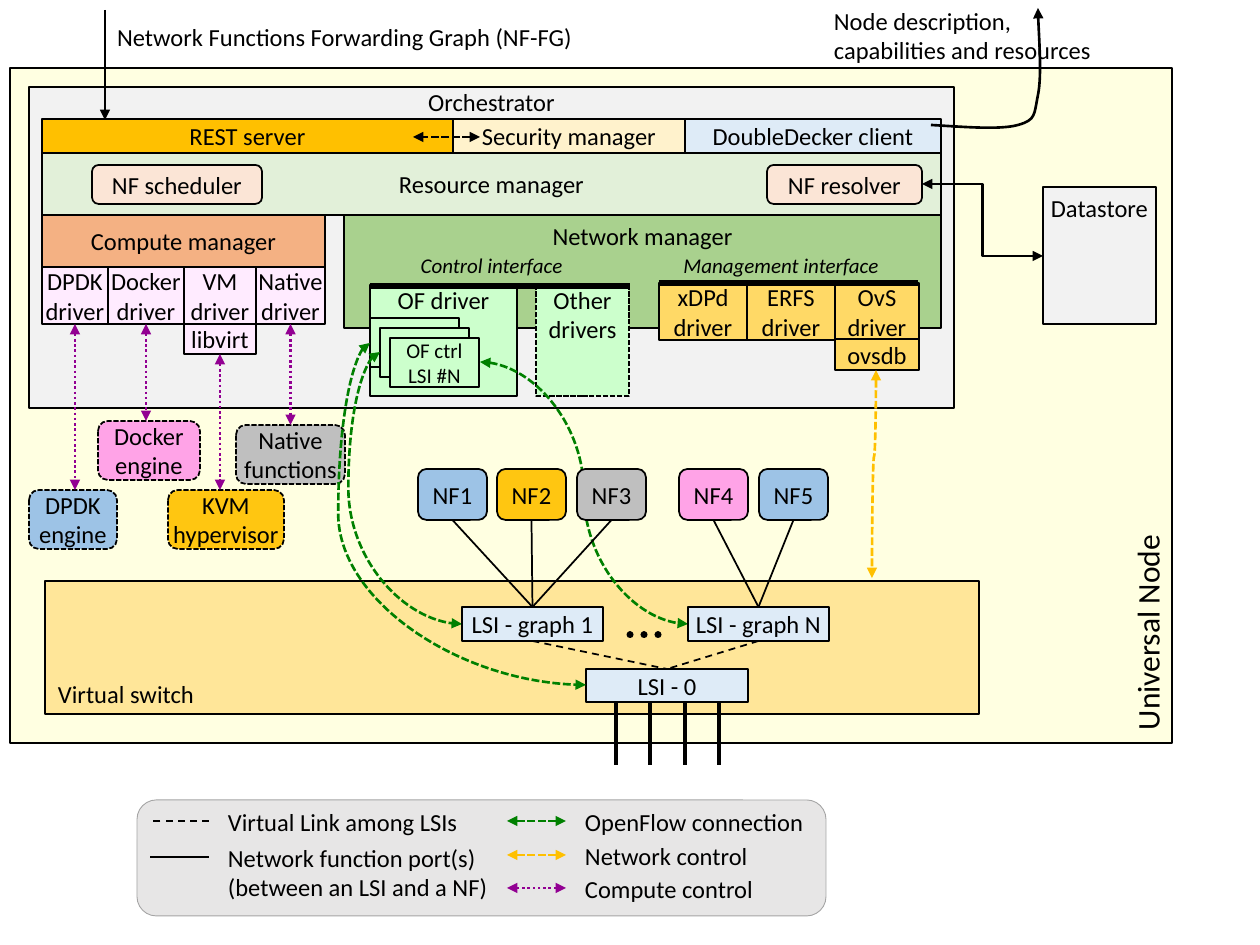
from dataclasses import dataclass
from itertools import accumulate

from lxml import etree
from pptx import Presentation
from pptx.dml.color import RGBColor
from pptx.enum.dml import MSO_LINE
from pptx.enum.shapes import MSO_CONNECTOR, MSO_SHAPE
from pptx.enum.text import MSO_ANCHOR, MSO_AUTO_SIZE, PP_ALIGN
from pptx.oxml.ns import qn
from pptx.util import Pt

RECTANGLE, ROUNDED = MSO_SHAPE.RECTANGLE, MSO_SHAPE.ROUNDED_RECTANGLE
STRAIGHT, ELBOW, CURVE = MSO_CONNECTOR.STRAIGHT, MSO_CONNECTOR.ELBOW, MSO_CONNECTOR.CURVE
DASH, SHORT_DASH, DOT = MSO_LINE.DASH, MSO_LINE.SQUARE_DOT, MSO_LINE.ROUND_DOT
TOP, MIDDLE, BOTTOM = MSO_ANCHOR.TOP, MSO_ANCHOR.MIDDLE, MSO_ANCHOR.BOTTOM
LEFT, CENTER = PP_ALIGN.LEFT, PP_ALIGN.CENTER
FIT_SHAPE = MSO_AUTO_SIZE.SHAPE_TO_FIT_TEXT
TOP_SIDE, BOTTOM_SIDE = 0, 2
EMU_PER_PX = 914400 / 126


@dataclass(frozen=True)
class Theme:
    font: str = "Calibri"
    title: int = 18
    body: int = 14
    small: int = 12
    ink: str = "000000"
    node: str = "FFFFE1"
    panel: str = "F2F2F2"
    switch: str = "FFE699"
    pale_blue: str = "DEEBF7"
    blue: str = "9DC3E6"
    gold: str = "FFC611"
    amber: str = "FFC000"
    cream: str = "FFF2CC"
    gray: str = "BFBFBF"
    pink: str = "FFA3E7"
    lilac: str = "FFEBFF"
    purple: str = "920092"
    orange: str = "F4B183"
    peach: str = "FBE5D6"
    mint: str = "E2F0D9"
    leaf: str = "A9D18E"
    light_green: str = "CCFFCC"
    green: str = "008000"
    yellow: str = "FFD966"
    legend: str = "E7E6E6"
    legend_line: str = "A5A5A5"


THEME = Theme()
OPENFLOW = {"color": THEME.green, "width": 1.5, "dash": SHORT_DASH, "ends": "both"}
NETWORK = {**OPENFLOW, "color": THEME.amber}
COMPUTE = {**OPENFLOW, "color": THEME.purple, "dash": DOT}
VIRTUAL_LINK = {"dash": DASH}


def px(*values):
    return [round(value * EMU_PER_PX) for value in values]


def set_format(target, values):
    for name, value in values.items():
        setattr(target, name, value)


def write_text(shape, text, size=THEME.body, align=CENTER, anchor=MIDDLE, inset=(13, 6), wrap=False, italic=False):
    frame = shape.text_frame
    side, edge = px(*inset)
    set_format(frame, {"text": text, "word_wrap": wrap, "vertical_anchor": anchor, "margin_left": side,
                       "margin_right": side, "margin_top": edge, "margin_bottom": edge})
    for paragraph in frame.paragraphs:
        paragraph.alignment = align
        set_format(paragraph.font, {"name": THEME.font, "size": Pt(size), "italic": italic})
        paragraph.font.color.rgb = RGBColor.from_string(THEME.ink)


def set_line(shape, color=THEME.ink, width=1, dash=None, ends=""):
    shape.line.color.rgb = RGBColor.from_string(color)
    set_format(shape.line, {"width": Pt(width), "dash_style": dash})
    outline = shape._element.spPr.find(qn("a:ln"))
    for tag, kinds in (("a:headEnd", ("both",)), ("a:tailEnd", ("both", "end"))):
        if ends in kinds:
            etree.SubElement(outline, qn(tag), type="triangle")
    return outline


def add_box(slide, box, fill, text="", kind=RECTANGLE, line=None, **text_format):
    shape = slide.shapes.add_shape(kind, *px(*box))
    shape.shadow.inherit = False
    shape.fill.solid()
    shape.fill.fore_color.rgb = RGBColor.from_string(fill)
    set_line(shape, **(line or {}))
    if text:
        write_text(shape, text, **text_format)
    return shape


def add_row(slide, left, top, height, cells, **options):
    widths = [width for width, fill, text in cells]
    lefts = accumulate(widths, initial=left)
    return [add_box(slide, (x, top, width, height), fill, text, **options)
            for x, (width, fill, text) in zip(lefts, cells)]


def add_label(slide, box, text, **text_format):
    label = slide.shapes.add_textbox(*px(*box))
    write_text(label, text, **{"align": LEFT, "anchor": TOP, **text_format})
    return label


def add_link(slide, points, kind=STRAIGHT, bend=None, turn=0, cap=None, start=None, finish=None, **line):
    connector = slide.shapes.add_connector(kind, *px(*points))
    properties = connector._element.spPr
    outline = set_line(connector, **line)
    if cap:
        outline.set("cap", cap)
    etree.SubElement(properties, qn("a:effectLst"))
    if bend is not None:
        guides = properties.find(qn("a:prstGeom")).find(qn("a:avLst"))
        etree.SubElement(guides, qn("a:gd"), name="adj1", fmla=f"val {bend}")
    if turn:
        properties.find(qn("a:xfrm")).set("rot", str(turn * 60000))
    if start:
        connector.begin_connect(start, BOTTOM_SIDE)
    if finish:
        connector.end_connect(finish, TOP_SIDE)


def join(slide, upper, lower, **line):
    add_link(slide, (0, 0, 1, 1), start=upper, finish=lower, **line)


def add_curve(slide, points, **line):
    builder = slide.shapes.build_freeform(*points[0], scale=EMU_PER_PX)
    builder.add_line_segments(points[1:], close=False)
    shape = builder.convert_to_shape()
    shape.shadow.inherit = False
    shape.fill.background()
    set_line(shape, **line)
    segments = list(shape._element.iter(qn("a:lnTo")))
    outline = segments[0].getparent()
    for index in range(0, len(segments), 3):
        cubic = etree.SubElement(outline, qn("a:cubicBezTo"))
        for segment in segments[index:index + 3]:
            cubic.append(segment[0])
            outline.remove(segment)


def draw_frames(slide):
    thick = {"width": 1.5}
    node = add_box(slide, (10, 68, 1162, 675), THEME.node, "Universal Node", line=thick,
                   size=THEME.title, align=LEFT, anchor=BOTTOM, inset=(6, 13), wrap=True)
    node.text_frame._txBody.bodyPr.set("vert", "vert270")
    add_box(slide, (29, 87, 925, 321), THEME.panel, "Orchestrator", line=thick, anchor=TOP, inset=(0, 0), wrap=True)
    switch = add_box(slide, (45, 581, 934, 133), THEME.switch, "Virtual switch", ROUNDED,
                     align=LEFT, anchor=BOTTOM, wrap=True)
    switch.adjustments[0] = 0
    add_box(slide, (1043, 187, 113, 137), THEME.panel, "Datastore", anchor=TOP)


def draw_managers(slide):
    add_box(slide, (42, 152, 899, 63), THEME.mint, "Resource manager", inset=(5, 5), wrap=True)
    add_row(slide, 42, 119, 34, [(411, THEME.amber, "REST server"), (232, THEME.cream, "Security manager"),
                                 (256, THEME.pale_blue, "DoubleDecker client")], inset=(5, 5), wrap=True)
    add_link(slide, (480, 137, 413, 137), width=1.5, dash=SHORT_DASH, ends="both")
    for left, width, text in ((92, 170, "NF scheduler"), (767, 155, "NF resolver")):
        add_box(slide, (left, 165, width, 39), THEME.peach, text, ROUNDED)
    add_box(slide, (42, 215, 283, 52), THEME.orange, "Compute manager")
    add_box(slide, (344, 215, 597, 113), THEME.leaf, "Network manager", anchor=TOP)


def draw_compute(slide):
    names = ((66, "DPDK"), (76, "Docker"), (72, "VM"), (69, "Native"))
    dpdk, docker, _, native = add_row(
        slide, 42, 267, 57, [(width, THEME.lilac, f"{name}\ndriver") for width, name in names])
    libvirt = add_box(slide, (184, 324, 72, 30), THEME.lilac, "libvirt")
    engines = ((dpdk, 75, 324, (29, 490, 88, 59), THEME.blue, "DPDK\nengine"),
               (docker, 146, 324, (98, 421, 102, 59), THEME.pink, "Docker\nengine"),
               (libvirt, 220, 354, (168, 490, 116, 59), THEME.gold, "KVM\nhypervisor"),
               (native, 290, 324, (236, 425, 109, 59), THEME.gray, "Native\nfunctions"))
    for driver, x, y, box, fill, text in engines:
        engine = add_box(slide, box, fill, text, ROUNDED, line={"dash": SHORT_DASH})
        add_link(slide, (x, y, x, box[1]), start=driver, finish=engine if driver is native else None, **COMPUTE)


def draw_network(slide):
    add_box(slide, (370, 285, 147, 111), THEME.light_green, "OF driver", anchor=TOP, inset=(0, 0))
    add_box(slide, (536, 285, 93, 111), THEME.light_green, "Other\ndrivers", line={"dash": SHORT_DASH},
            anchor=TOP, inset=(0, 0))
    for left, width, text in ((407, 169, "Control interface"), (670, 222, "Management interface")):
        label = add_label(slide, (left, 247, width, 38), text, size=THEME.small, align=CENTER, italic=True)
        label.text_frame.auto_size = FIT_SHAPE
    names = ((88, "xDPd"), (88, "ERFS"), (84, "OvS"))
    add_row(slide, 659, 283, 57, [(width, THEME.yellow, f"{name}\ndriver") for width, name in names])
    add_box(slide, (835, 339, 84, 31), THEME.yellow, "ovsdb")
    for index, text in enumerate(("", "", "OF ctrl\nLSI #N")):
        add_box(slide, (370 + 10 * index, 318 + 10 * index, 89, 49), THEME.light_green, text, size=THEME.small)
    for left, right, y in ((370, 630, 286), (659, 918, 283)):
        add_link(slide, (left, y, right, y), width=3)


def draw_switch(slide):
    base = add_box(slide, (586, 669, 162, 33), THEME.pale_blue, "LSI - 0")
    for index in range(4):
        x = 616 + round(34.4 * index)
        add_link(slide, (x, 702, x, 765), width=2.25)
    add_link(slide, (630, 635, 660, 635), width=4, dash=DOT, cap="rnd")
    for points, bend in (((370, 343, 586, 685), -14700), ((380, 352, 462, 624), -38600),
                         ((480, 362, 688, 624), 50000)):
        add_link(slide, points, CURVE, bend, **OPENFLOW)
    graphs = ((462, "LSI - graph 1", ((418, "NF1", THEME.blue), (497, "NF2", THEME.gold), (577, "NF3", THEME.gray))),
              (688, "LSI - graph N", ((679, "NF4", THEME.pink), (759, "NF5", THEME.blue))))
    for left, title, functions in graphs:
        graph = add_box(slide, (left, 607, 141, 34), THEME.pale_blue, title)
        join(slide, graph, base, **VIRTUAL_LINK)
        for x, name, fill in functions:
            function = add_box(slide, (x, 469, 69, 51), fill, name, ROUNDED)
            join(slide, function, graph)


def draw_outside(slide):
    add_link(slide, (105, 10, 105, 120), width=1.5, ends="end")
    add_label(slide, (104, 16, 500, 38), "Network Functions Forwarding Graph (NF-FG)")
    add_label(slide, (821, 0, 300, 70), "Node description,\ncapabilities and resources")
    add_link(slide, (770, 472, 978, 476), CURVE, 41700, turn=90, **NETWORK)
    add_link(slide, (922, 184, 1043, 256), ELBOW, width=1.5, ends="both")
    add_curve(slide, [(931, 125), (965, 127), (1000, 130), (1018, 125), (1036, 120), (1034, 115),
                      (1038, 95), (1042, 76), (1038, 23), (1038, 8)], width=1.5, ends="end")


def draw_legend(slide):
    add_box(slide, (137, 800, 689, 116), THEME.legend, kind=ROUNDED, line={"color": THEME.legend_line, "width": 0.5})
    entries = ((150, 821, 40, "Virtual Link among LSIs", VIRTUAL_LINK),
               (150, 857, 70, "Network function port(s)\n(between an LSI and a NF)", {}),
               (507, 821, 40, "OpenFlow connection", OPENFLOW),
               (507, 855, 40, "Network control", NETWORK),
               (507, 888, 40, "Compute control", COMPUTE))
    for left, y, height, text, line in entries:
        add_link(slide, (left + 59, y, left, y), **line)
        add_label(slide, (left + 65, y - 20, 290, height), text)


def main():
    presentation = Presentation()
    presentation.slide_width, presentation.slide_height = px(1260, 945)
    slide = presentation.slides.add_slide(presentation.slide_layouts[6])
    for draw in (draw_frames, draw_managers, draw_compute, draw_network, draw_switch, draw_outside, draw_legend):
        draw(slide)
    presentation.save("out.pptx")


if __name__ == "__main__":
    main()
